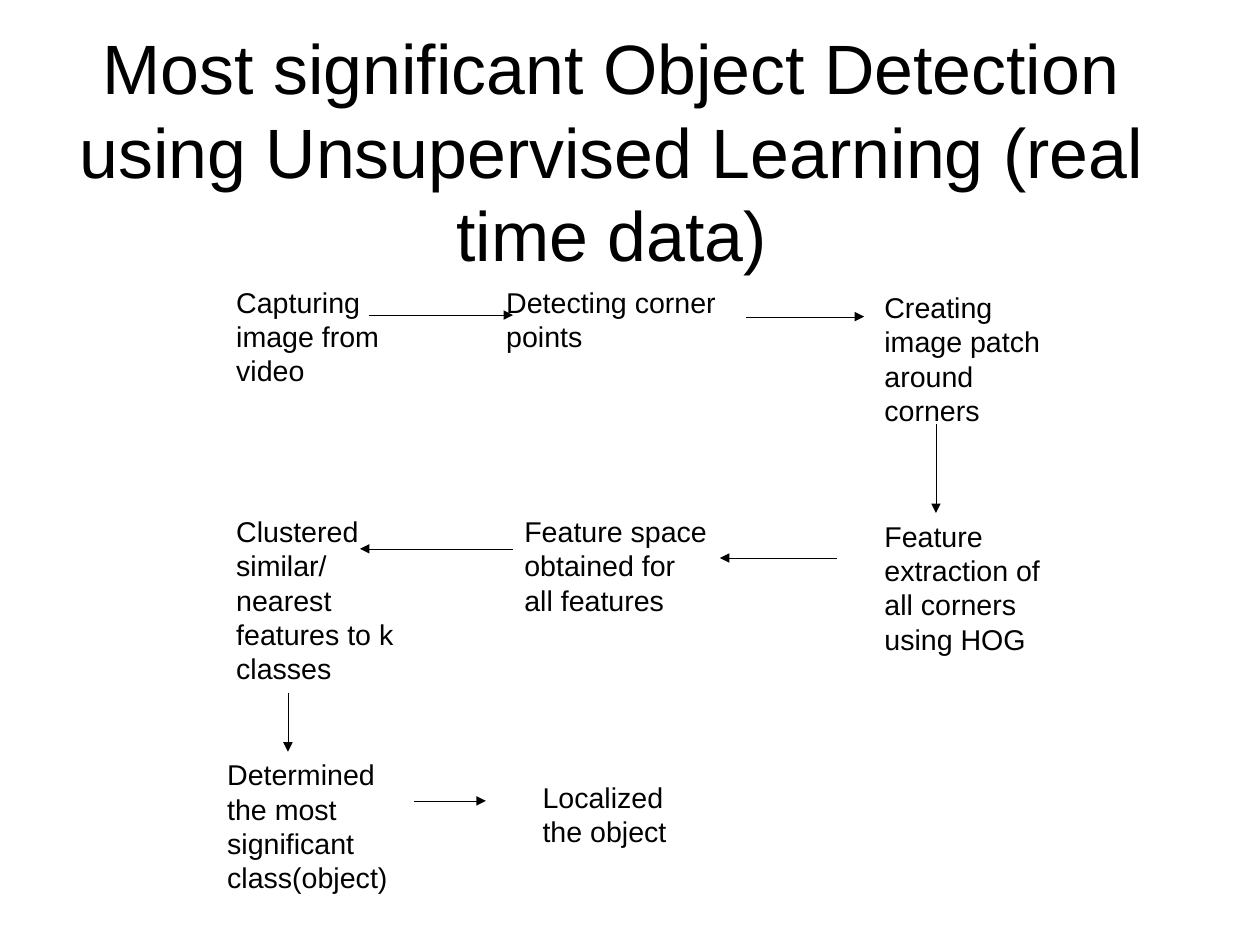
from lxml import etree
from pptx import Presentation, util as u
from pptx.dml import color
from pptx.enum import shapes, text
from pptx.oxml import ns

INK = "000000"


def rgb(value):
    return color.RGBColor.from_string(value)


class FlowSlide:
    font_name = "Arial"
    body_size = 18
    title_size = 44

    def __init__(self, slide):
        self.slide = slide

    def text_box(self, left, top, width, height, size):
        shape = self.slide.shapes.add_textbox(u.Pt(left), u.Pt(top), u.Pt(width), u.Pt(height))
        frame = shape.text_frame
        frame.word_wrap = True
        frame.auto_size = text.MSO_AUTO_SIZE.SHAPE_TO_FIT_TEXT
        paragraph = frame.paragraphs[0]
        paragraph.font.name = self.font_name
        paragraph.font.size = u.Pt(size)
        paragraph.font.color.rgb = rgb(INK)
        return shape, paragraph

    def title(self, words, left, top, width, height):
        shape, paragraph = self.text_box(left, top, width, height, self.title_size)
        frame = shape.text_frame
        frame.margin_left = frame.margin_right = frame.margin_top = frame.margin_bottom = 0
        frame.vertical_anchor = text.MSO_ANCHOR.MIDDLE
        paragraph.alignment = text.PP_ALIGN.CENTER
        paragraph.add_run().text = words
        paragraph.add_line_break()

    def step(self, words, left, top, width, height):
        shape, paragraph = self.text_box(left, top, width, height, self.body_size)
        paragraph.add_run().text = words
        return shape

    def arrow(self, x1, y1, x2, y2):
        connector = self.slide.shapes.add_connector(
            shapes.MSO_CONNECTOR.STRAIGHT, u.Pt(x1), u.Pt(y1), u.Pt(x2), u.Pt(y2))
        connector._element.remove(connector._element.find(ns.qn("p:style")))
        connector.line.color.rgb = rgb(INK)
        connector.line.width = u.Pt(0)
        line = connector.line._get_or_add_ln()
        etree.SubElement(line, ns.qn("a:tailEnd"), type="triangle")
        etree.SubElement(connector._element.spPr, ns.qn("a:effectLst"))
        return connector


STEPS = [
    ("Capturing image from video", 141.7, 175.7, 130.3, 67.7),
    ("Detecting corner points", 311.8, 175.7, 158.4, 47.5),
    ("Creating image patch around corners", 550, 179.2, 130.3, 87.8),
    ("Feature extraction of all corners using HOG", 550, 323.2, 130.3, 87.8),
    ("Feature space obtained for all features", 323.2, 320.3, 130.3, 76.3),
    ("Clustered similar/ nearest features to k classes", 141.7, 320.3, 130.3, 108),
    ("Determined the most significant class(object)", 136, 473.5, 130.3, 87.8),
    ("Localized the object", 334.7, 487.5, 108, 47.5),
]

ARROWS = [
    (232.5, 198.5, 323.2, 198.5),
    (589.6, 267, 589.6, 323.2),
    (527.2, 351.5, 453.5, 351.5),
    (323.2, 345.7, 226.8, 345.7),
    (181.4, 436.5, 181.4, 473.5),
    (260.7, 504.5, 306, 504.5),
]


def main():
    presentation = Presentation()
    presentation.slide_width = u.Pt(793.7)
    presentation.slide_height = u.Pt(595.28)
    flow = FlowSlide(presentation.slides.add_slide(presentation.slide_layouts[6]))
    flow.title("Most significant Object Detection using Unsupervised Learning (real time data)",
               28.3, 22.7, 714.2, 196.6)
    boxes = {step[0]: flow.step(*step) for step in STEPS}
    for ends in ARROWS:
        flow.arrow(*ends)
    detecting_arrow = flow.arrow(470.5, 198.5, 544.3, 198.5)
    detecting_arrow.begin_connect(boxes["Detecting corner points"], 3)
    detecting_arrow.end_y = detecting_arrow.begin_y
    presentation.save("out.pptx")


if __name__ == "__main__":
    main()
